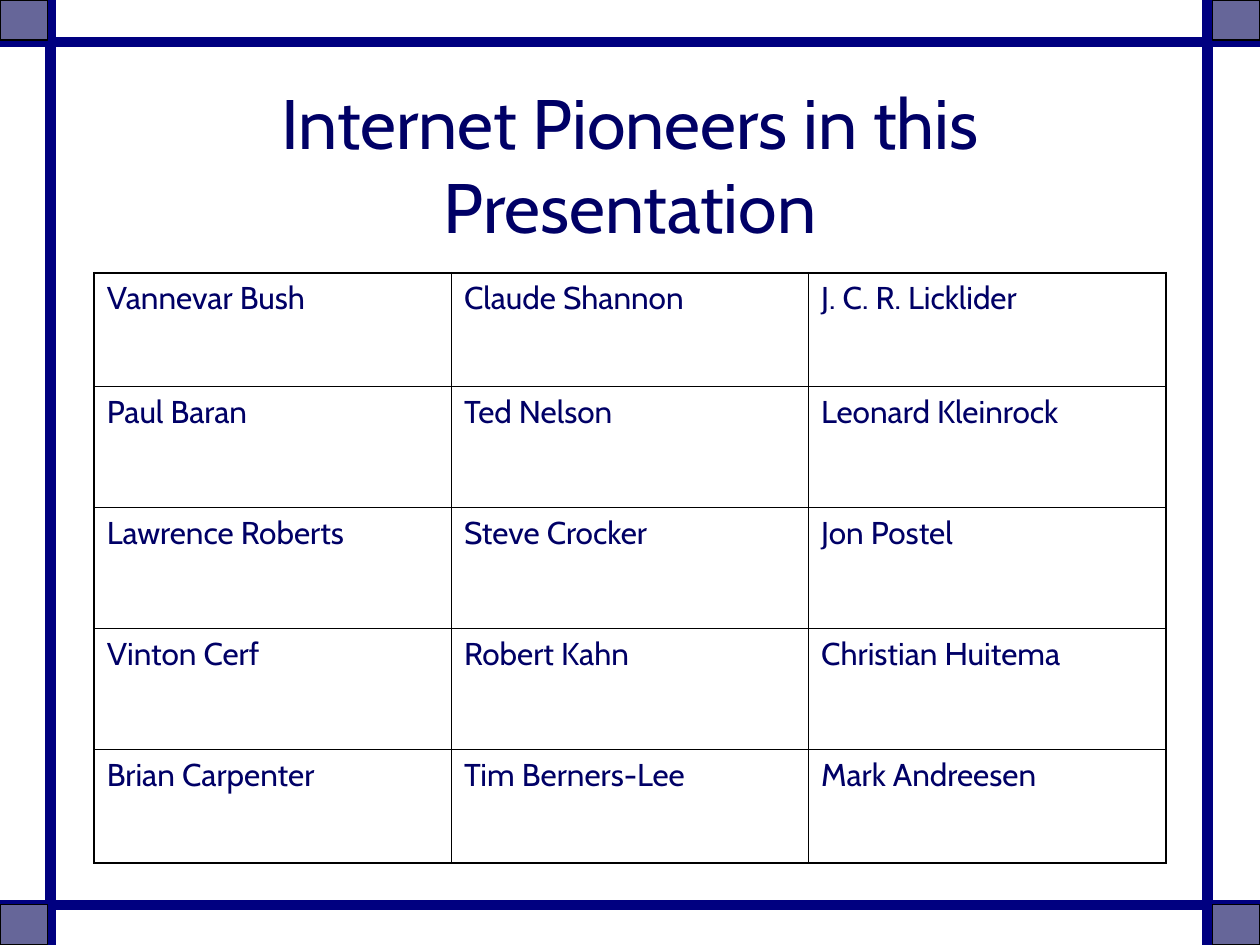
import lxml.etree
import pptx
import pptx.dml.color
import pptx.enum.shapes
import pptx.enum.text
import pptx.oxml.ns
import pptx.util

Cm = pptx.util.Cm
Pt = pptx.util.Pt
NAVY = pptx.dml.color.RGBColor(0x00, 0x00, 0x80)
INK = pptx.dml.color.RGBColor(0x00, 0x00, 0x66)
SLATE = pptx.dml.color.RGBColor(0x66, 0x66, 0x99)
BLACK = pptx.dml.color.RGBColor(0x00, 0x00, 0x00)

PIONEERS = [
    ["Vannevar Bush", "Claude Shannon", "J. C. R. Licklider"],
    ["Paul Baran", "Ted Nelson", "Leonard Kleinrock"],
    ["Lawrence Roberts", "Steve Crocker", "Jon Postel"],
    ["Vinton Cerf", "Robert Kahn", "Christian Huitema"],
    ["Brian Carpenter", "Tim Berners-Lee", "Mark Andreesen"],
]


def write_text(frame, text, size, align):
    frame.word_wrap = True
    para = frame.paragraphs[0]
    para.alignment = align
    span = para.add_run()
    span.text = text
    span.font.name = "Cabin"
    span.font.size = Pt(size)
    span.font.color.rgb = INK


def add_border(cell, side, width):
    """Draw one cell edge; side is L, R, T or B, in that order for a valid file."""
    edge = lxml.etree.SubElement(
        cell._tc.get_or_add_tcPr(), pptx.oxml.ns.qn(f"a:ln{side}"), w=str(Pt(width)))
    fill = lxml.etree.SubElement(edge, pptx.oxml.ns.qn("a:solidFill"))
    lxml.etree.SubElement(fill, pptx.oxml.ns.qn("a:srgbClr"), val=str(BLACK))


deck = pptx.Presentation()
deck.slide_width = Cm(25.4)
deck.slide_height = Cm(19.05)
page = deck.slides.add_slide(deck.slide_layouts[6])

# Frame bars
right, bottom = deck.slide_width, deck.slide_height
bars = [(0, y, right, y) for y in (Cm(0.85), Cm(18.24))]
bars += [(x, bottom, x, 0) for x in (Cm(1.02), Cm(24.34))]
for ends in bars:
    bar = page.shapes.add_connector(pptx.enum.shapes.MSO_CONNECTOR.STRAIGHT, *ends)
    bar.line.color.rgb = NAVY
    bar.line.width = Pt(6)
    lxml.etree.SubElement(bar._element.spPr, pptx.oxml.ns.qn("a:effectLst"))

# Corner blocks
block_width, block_height = Cm(0.96), Cm(0.81)
for left in (0, right - block_width):
    for top in (0, bottom - block_height):
        block = page.shapes.add_shape(
            pptx.enum.shapes.MSO_SHAPE.RECTANGLE, left, top, block_width, block_height)
        block.shadow.inherit = False
        block.fill.solid()
        block.fill.fore_color.rgb = SLATE
        block.line.color.rgb = BLACK
        block.line.width = Pt(0.75)

title = page.shapes.add_textbox(Cm(1.9), Cm(1.7), Cm(21.6), Cm(3.18))
title.text_frame.vertical_anchor = pptx.enum.text.MSO_ANCHOR.MIDDLE
write_text(title.text_frame, "Internet Pioneers in this Presentation",
           size=40, align=pptx.enum.text.PP_ALIGN.CENTER)

# Table of names
row_heights = [2.29, 2.44, 2.44, 2.44, 2.29]
last_row, last_column = len(PIONEERS) - 1, len(PIONEERS[0]) - 1
table = page.shapes.add_table(
    len(PIONEERS), len(PIONEERS[0]), Cm(1.9), Cm(5.5), Cm(21.6), Cm(sum(row_heights))).table
table.first_row = False
table.horz_banding = False
for row, height in zip(table.rows, row_heights):
    row.height = Cm(height)

for row_index, names in enumerate(PIONEERS):
    for column_index, name in enumerate(names):
        cell = table.cell(row_index, column_index)
        write_text(cell.text_frame, name, size=18, align=pptx.enum.text.PP_ALIGN.LEFT)
        outer_edges = {
            "L": column_index == 0,
            "R": column_index == last_column,
            "T": row_index == 0,
            "B": row_index == last_row,
        }
        for side, is_outer in outer_edges.items():
            add_border(cell, side, 1.08 if is_outer else 0.45)
        cell.fill.background()

deck.save("out.pptx")
